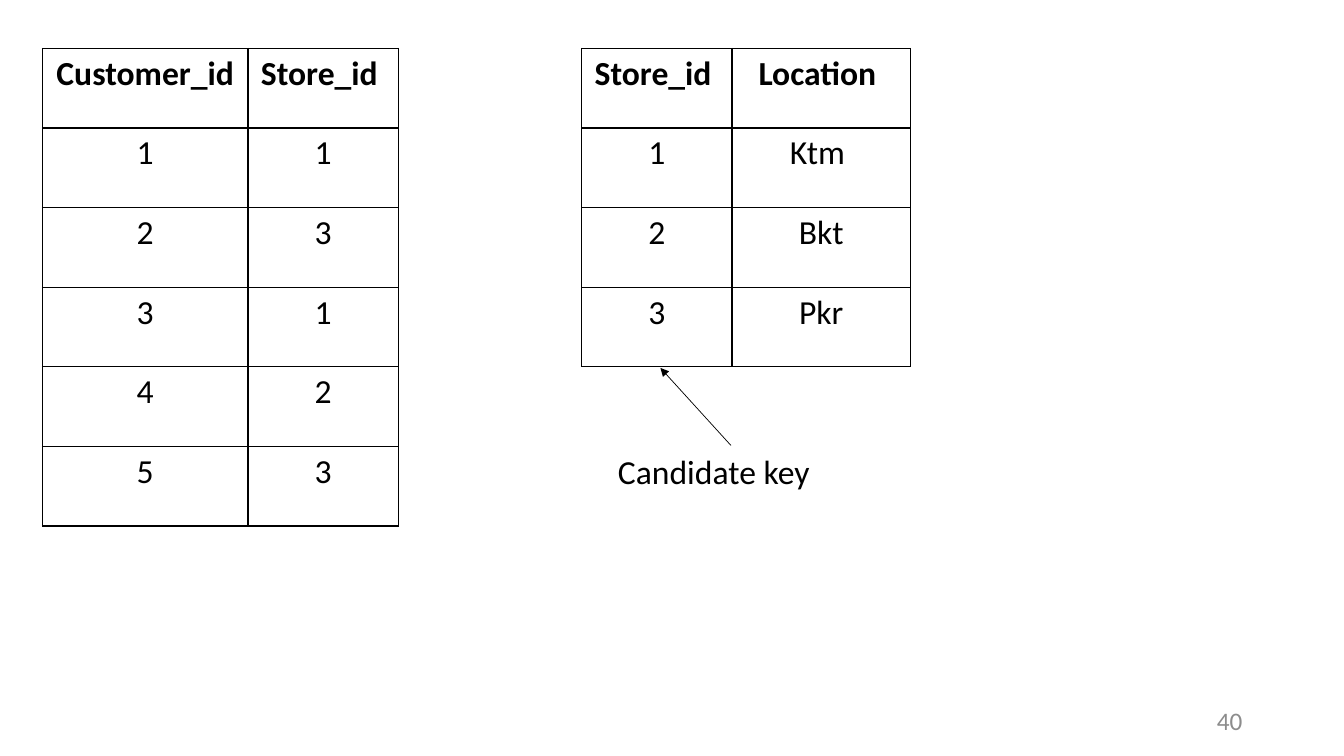
"""Build a slide with two related tables and a marked candidate key."""
from dataclasses import dataclass

import pptx
import pptx.dml.color
import pptx.enum.shapes
import pptx.enum.text
import pptx.oxml
import pptx.oxml.ns
import pptx.util

PX = 9144
FONT = "Calibri"
COLORS = {"ink": "000000", "paper": "FFFFFF", "page": "8C8C8C"}
ALIGN = pptx.enum.text.PP_ALIGN
ANCHOR = pptx.enum.text.MSO_ANCHOR


@dataclass
class Grid:
    left: int
    top: int
    cols: list[int]
    rows: list[tuple[str, ...]]
    tall: int = 79


@dataclass
class Label:
    text: str
    box: tuple[int, int, int, int]
    size: int
    color: str
    align: ALIGN
    anchor: ANCHOR


GRIDS = [
    Grid(42, 48, [204, 149], [
        ("Customer_id", "Store_id "),
        ("1", "1"), ("2", "3"), ("3", "1"), ("4", "2"), ("5", "3"),
    ]),
    Grid(577, 48, [149, 177], [
        ("Store_id ", "Location "),
        ("1", "Ktm "), ("2", "Bkt"), ("3", "Pkr"),
    ]),
]
LABELS = [
    Label("40", (942, 695, 300, 40), 18, "page", ALIGN.RIGHT, ANCHOR.MIDDLE),
    Label("Candidate key", (603, 442, 245, 50), 24, "ink", ALIGN.LEFT, ANCHOR.TOP),
]


def px(*sizes: int) -> list[int]:
    return [size * PX for size in sizes]


def rgb(name: str) -> pptx.dml.color.RGBColor:
    return pptx.dml.color.RGBColor.from_string(COLORS[name])


def style(para, size: int, color: str, align: ALIGN, bold: bool = False) -> None:
    para.alignment = align
    para.font.name = FONT
    para.font.size = pptx.util.Pt(size)
    para.font.bold = bold
    para.font.color.rgb = rgb(color)


def border(cell) -> None:
    props = cell._tc.get_or_add_tcPr()
    for side in "LRTB":
        props.append(pptx.oxml.parse_xml(
            f'<a:ln{side} {pptx.oxml.ns.nsdecls("a")} w="12700"><a:solidFill>'
            f'<a:srgbClr val="{COLORS["ink"]}"/></a:solidFill></a:ln{side}>'
        ))


def add_grid(slide, grid: Grid) -> None:
    count = len(grid.rows)
    frame = slide.shapes.add_table(
        count, len(grid.cols),
        *px(grid.left, grid.top, sum(grid.cols), count * grid.tall),
    )
    table = frame.table
    for col, width in zip(table.columns, grid.cols):
        col.width = width * PX
    for i, texts in enumerate(grid.rows):
        table.rows[i].height = grid.tall * PX
        for j, text in enumerate(texts):
            cell = table.cell(i, j)
            cell.text = text
            style(cell.text_frame.paragraphs[0], 24, "ink", ALIGN.CENTER, i == 0)
            border(cell)
            cell.fill.solid()
            cell.fill.fore_color.rgb = rgb("paper")


def add_label(slide, label: Label) -> None:
    frame = slide.shapes.add_textbox(*px(*label.box)).text_frame
    frame.word_wrap = True
    frame.vertical_anchor = label.anchor
    frame.text = label.text
    style(frame.paragraphs[0], label.size, label.color, label.align)


def add_arrow(slide, start: tuple[int, int], end: tuple[int, int]) -> None:
    arrow = slide.shapes.add_connector(
        pptx.enum.shapes.MSO_CONNECTOR.STRAIGHT, *px(*start, *end)
    )
    arrow.line.color.rgb = rgb("ink")
    arrow.line.width = pptx.util.Pt(0.5)
    space = pptx.oxml.ns.nsdecls("a")
    arrow.line._get_or_add_ln().append(
        pptx.oxml.parse_xml(f'<a:tailEnd {space} type="triangle"/>')
    )
    arrow._element.spPr.append(pptx.oxml.parse_xml(f"<a:effectLst {space}/>"))


def main() -> None:
    deck = pptx.Presentation()
    deck.slide_width, deck.slide_height = px(1333, 750)
    slide = deck.slides.add_slide(deck.slide_layouts[6])
    for grid in GRIDS:
        add_grid(slide, grid)
    for label in LABELS:
        add_label(slide, label)
    add_arrow(slide, (725, 442), (655, 365))
    deck.save("out.pptx")


if __name__ == "__main__":
    main()
